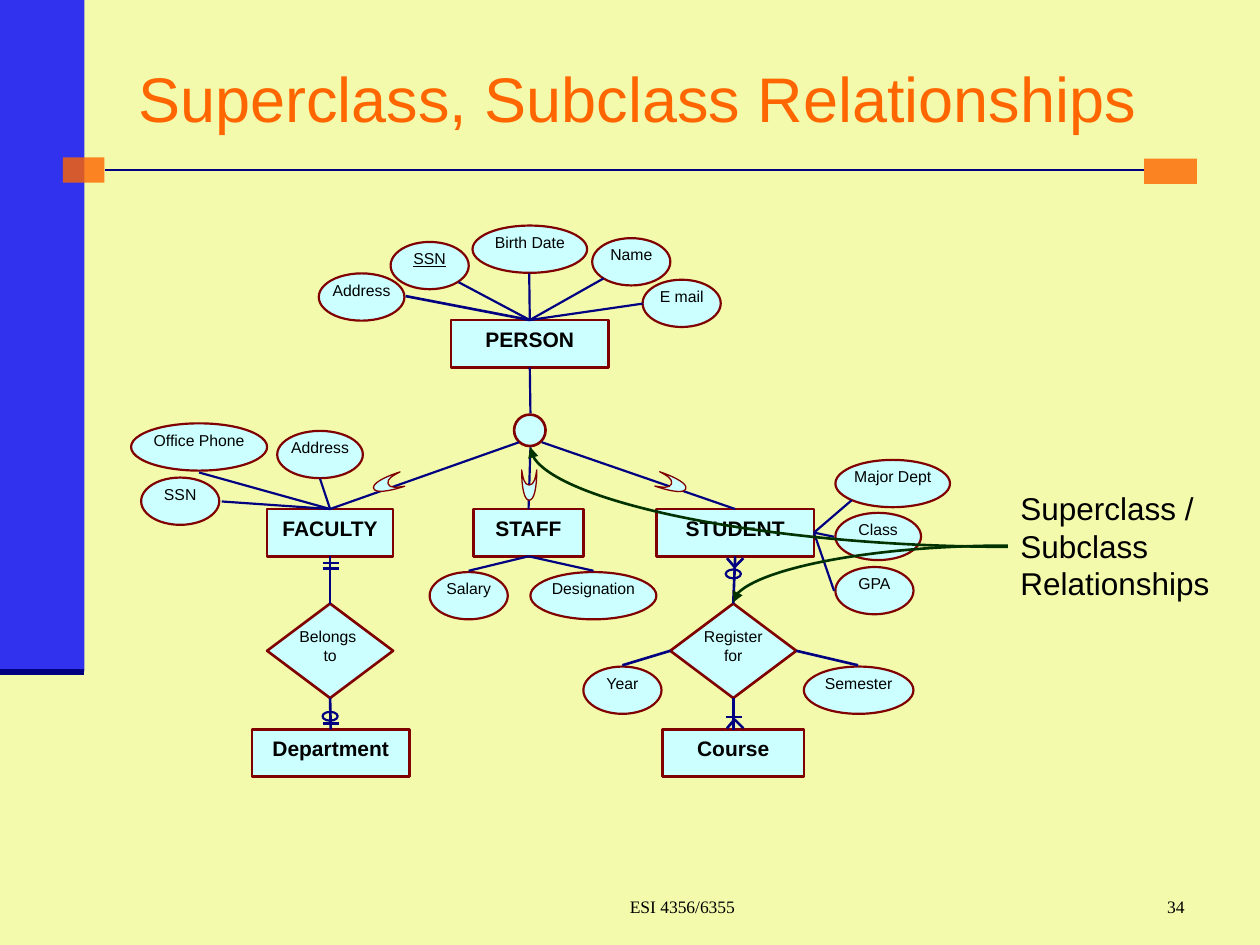
import math
import pptx
import pptx.util
import pptx.dml.color
import pptx.enum.shapes
import pptx.enum.text
import pptx.oxml
import pptx.oxml.ns

Inches, Pt = pptx.util.Inches, pptx.util.Pt
SHAPE = pptx.enum.shapes.MSO_SHAPE
CONN = pptx.enum.shapes.MSO_CONNECTOR
ALIGN = pptx.enum.text.PP_ALIGN
ANCHOR = pptx.enum.text.MSO_ANCHOR

THEME = {
    "back": "F3FAAC", "band": "0000FF", "accent": "FF6600", "line": "000080",
    "node": "CCFFFF", "edge": "800000", "arrow": "003300", "text": "000000",
    "sans": "Arial", "serif": "Times New Roman",
    "title": 36, "note": 18, "entity": 12, "label": 9, "footer": 10,
    "thin": 1.25, "thick": 1.5,
}
TOP, LEFT, BOTTOM, RIGHT = range(4)
NODE_H, DIAMOND_H = 3 / 8, 3 / 4

# Content: name -> (left, top, width)
ENTITIES = {
    "PERSON": (3.58, 2.54, 1.25),
    "FACULTY": (2.12, 4.04, 1),
    "STAFF": (3.76, 4.04, 0.87),
    "STUDENT": (5.21, 4.04, 1.25),
    "Department": (2, 5.79, 1.25),
    "Course": (5.26, 5.79, 1.12),
}
RELATIONS = {"Belongs \nto": (2.12, 4.79, 1), "Register for": (5.32, 4.79, 1)}

# (owner, side) -> [(name, left, top, width, line end)]
ATTRIBUTES = {
    ("PERSON", TOP): [
        ("Address", 2.53, 2.17, 0.68, (3.22, 2.35)),
        ("SSN", 3.1, 1.92, 0.62, (3.64, 2.24)),
        ("Birth Date", 3.75, 1.79, 0.91, (4.2, 2.17)),
        ("Name", 4.7, 1.89, 0.62, (4.79, 2.21)),
        ("E mail", 5.1, 2.22, 0.62, (5.1, 2.41))],
    ("FACULTY", TOP): [
        ("SSN", 1.12, 3.79, 0.62, (1.76, 3.98)),
        ("Office Phone", 1.04, 3.36, 1.08, (1.58, 3.75)),
        ("Address", 2.2, 3.42, 0.68, (2.54, 3.8))],
    ("STAFF", BOTTOM): [
        ("Salary", 3.41, 4.54, 0.62, (3.72, 4.53)),
        ("Designation", 4.21, 4.54, 1, (4.71, 4.53))],
    ("STUDENT", RIGHT): [
        ("Major Dept", 6.63, 3.65, 0.91, (6.76, 3.97)),
        ("Class", 6.63, 4.07, 0.68, (6.62, 4.26)),
        ("GPA", 6.63, 4.5, 0.62, (6.62, 4.69))],
    ("Register for", LEFT): [("Year", 4.63, 5.29, 0.62, (4.94, 5.28))],
    ("Register for", RIGHT): [("Semester", 6.38, 5.29, 0.87, (6.81, 5.28))],
}
KEY_ATTRIBUTE = ("PERSON", "SSN")
THICK_LINES = [("PERSON", "Address"), ("Register for", "Year"), ("Register for", "Semester")]

# Lines: each end is a point or a (node, side) pair
HIERARCHY = [
    (("PERSON", BOTTOM), (4.21, 3.28)),
    ((4.12, 3.51), ("FACULTY", TOP)),
    ((4.21, 3.55), ("STAFF", TOP)),
    ((4.3, 3.51), ("STUDENT", TOP)),
]
RELATION_LINES = [
    (("FACULTY", BOTTOM), ("Belongs \nto", TOP)),
    (("Belongs \nto", BOTTOM), ("Department", TOP)),
    (("STUDENT", BOTTOM), ("Register for", TOP)),
    (("Register for", BOTTOM), ("Course", TOP)),
]
BARS = [(2.62, 4.47), (2.62, 4.51), (2.62, 5.74), (5.82, 5.69)]
CROW_FEET = [(5.83, 4.5, 4.43), (5.83, 5.71, 5.78)]  # x, apex y, toes y
ZEROS = [(5.76, 4.52), (2.56, 5.65)]
CRESCENTS = [(3.08, 3.84, 162), (4.2, 3.85, 90), (5.33, 3.84, 19)]  # centre, angle
CURVES = [((8, 4.33), (5.82, 4.78)), ((8, 4.34), (4.21, 3.55))]

prs = pptx.Presentation()
prs.slide_width, prs.slide_height = Inches(10), Inches(7.5)
s = prs.slides.add_slide(prs.slide_layouts[6])


def rgb(name):
    return pptx.dml.color.RGBColor.from_string(THEME[name])


def add_xml(parent, xml):
    ns = pptx.oxml.ns.nsdecls("a")
    parent.append(pptx.oxml.parse_xml(xml.replace("/>", f" {ns}/>", 1)))


def write(sp, text, size, color="text", font="sans", align=ALIGN.LEFT,
          anchor=ANCHOR.TOP, insets=(0.1, 0.05), wrap=True, **styles):
    tf = sp.text_frame
    side, end = map(Inches, insets)
    frame = dict(word_wrap=wrap, vertical_anchor=anchor, margin_left=side,
                 margin_right=side, margin_top=end, margin_bottom=end)
    for key, value in frame.items():
        setattr(tf, key, value)
    tf.text = text
    for p in tf.paragraphs:
        p.alignment = align
        for r in p.runs:
            r.font.color.rgb = rgb(color)
            for key, value in dict(name=THEME[font], size=Pt(THEME[size]), **styles).items():
                setattr(r.font, key, value)
    return tf


def text_box(box, text, size, **styles):
    return write(s.shapes.add_textbox(*map(Inches, box)), text, size, **styles)


def style(sp, fill=None, edge=None, width="thin"):
    sp.shadow.inherit = False
    if fill:
        sp.fill.solid()
        sp.fill.fore_color.rgb = rgb(fill)
    else:
        sp.fill.background()
    if edge:
        sp.line.color.rgb = rgb(edge)
        sp.line.width = Pt(THEME.get(width, width))
    else:
        sp.line.fill.background()
    return sp


def shape(kind, box, *look):
    return style(s.shapes.add_shape(kind, *map(Inches, box)), *look)


def line(start, end, width="thin", color="line", kind=CONN.STRAIGHT):
    ends = (start, end)
    points = [(0, 0) if e[0] in nodes else e for e in ends]
    c = s.shapes.add_connector(kind, *(Inches(v) for pt in points for v in pt))
    for join, e in zip((c.begin_connect, c.end_connect), ends):
        if e[0] in nodes:
            join(nodes[e[0]], e[1])
    c.line.color.rgb = rgb(color)
    c.line.width = Pt(THEME.get(width, width))
    add_xml(c._element.spPr, "<a:effectLst/>")
    return c


def crescent(cx, cy, angle):
    inner = [(-0.12, -0.06), (-0.06, -0.05), (0, -0.04), (0, 0)]
    outer = [(0.12, 0), (0.12, -0.04), (0.02, -0.06), (-0.12, -0.06)]
    mirror = lambda pts: [(x, -y) for x, y in pts[::-1]][1:]
    outline = inner + mirror(inner) + mirror(outer) + outer[1:]
    cos, sin = math.cos(math.radians(angle)), math.sin(math.radians(angle))
    pts = [(Inches(cx + x * cos - y * sin), Inches(cy + x * sin + y * cos)) for x, y in outline]
    fb = s.shapes.build_freeform(*pts[0])
    fb.add_line_segments(pts[1:], close=True)
    sp = style(fb.convert_to_shape(), "node", "edge", 0.75)
    # Every three segments become one cubic curve
    segments = sp._element.findall(".//" + pptx.oxml.ns.qn("a:lnTo"))[:len(outline) - 1]
    for a, b, c in zip(segments[::3], segments[1::3], segments[2::3]):
        add_xml(a.getparent(), "<a:cubicBezTo/>")
        curve = a.getparent()[-1]
        a.addprevious(curve)
        for segment in (a, b, c):
            curve.append(segment[0])
            segment.getparent().remove(segment)


# Background, side band and title rule
nodes = {}
s.background.fill.solid()
s.background.fill.fore_color.rgb = rgb("back")
for box, color in [((0, 0, 0.67, 5.33), "band"), ((9.08, 1.26, 0.42, 0.2), "accent"),
                   ((0.5, 1.25, 0.33, 0.2), "accent")]:
    sp = shape(SHAPE.RECTANGLE, box, color)
    add_xml(sp.fill._xPr.solidFill[0], '<a:alpha val="80000"/>')
    if color == "band":
        line((0, 5.33), (0.67, 5.33), 3.5)
line((0.83, 1.35), (9.08, 1.35), "thick")
text_box((1, 0.3, 8.5, 0.95), "Superclass, Subclass Relationships", "title",
         color="accent", anchor=ANCHOR.MIDDLE)

# Entities, relations and the hierarchy circle
for group, kind, height, size, insets, bold in [
        (ENTITIES, SHAPE.RECTANGLE, NODE_H, "entity", (0, 0.05), True),
        (RELATIONS, SHAPE.DIAMOND, DIAMOND_H, "label", (0, 0), False)]:
    for name, box in group.items():
        nodes[name] = shape(kind, (*box, height), "node", "edge", "thick")
        write(nodes[name], name, size, align=ALIGN.CENTER, insets=insets, bold=bold)
shape(SHAPE.OVAL, (4.08, 3.29, 0.25, 0.25), "node", "edge", "thick")

# Attributes with their lines
for owner, attributes in ATTRIBUTES.items():
    for name, left, top, width, end in attributes:
        label = (owner[0], name)
        sp = shape(SHAPE.OVAL, (left, top, width, NODE_H), "node", "edge")
        tf = write(sp, name, "label", align=ALIGN.CENTER, insets=(0, 0))
        if label == KEY_ATTRIBUTE:
            tf.paragraphs[0].runs[0].font.underline = True
        line(owner, end, "thick" if label in THICK_LINES else "thin")

# Hierarchy, relation lines and cardinality marks
for ends in HIERARCHY:
    line(*ends)
for ends in RELATION_LINES:
    line(*ends, "thick")
for x, y in BARS:
    line((x - 0.06, y), (x + 0.07, y), "thick")
for x, apex, toes in CROW_FEET:
    for dx in (-0.06, 0.07):
        line((x, apex), (x + dx, toes), "thick")
for x, y in ZEROS:
    shape(SHAPE.OVAL, (x, y, 0.12, 0.07), None, "line")
for place in CRESCENTS:
    crescent(*place)

# Callout with curved arrows
text_box((8, 3.83, 1.7, 1), "Superclass /\nSubclass\nRelationships", "note", wrap=False)
for start, end in CURVES:
    c = line(start, end, "thick", "arrow", CONN.CURVE)
    c._element.spPr.prstGeom.set("prst", "curvedConnector2")
    add_xml(c.line._get_or_add_ln(), '<a:tailEnd type="triangle"/>')

# Footer
for box, text, align in [((3.67, 6.83, 3.25, 0.5), "ESI 4356/6355", ALIGN.CENTER),
                         ((7.42, 6.83, 2.08, 0.5), "34", ALIGN.RIGHT)]:
    tf = text_box(box, text, "footer", font="serif", align=align, anchor=ANCHOR.BOTTOM)
    tf.paragraphs[0]._p.get_or_add_pPr().set("marL", str(Inches(0.24)))

prs.save("out.pptx")
